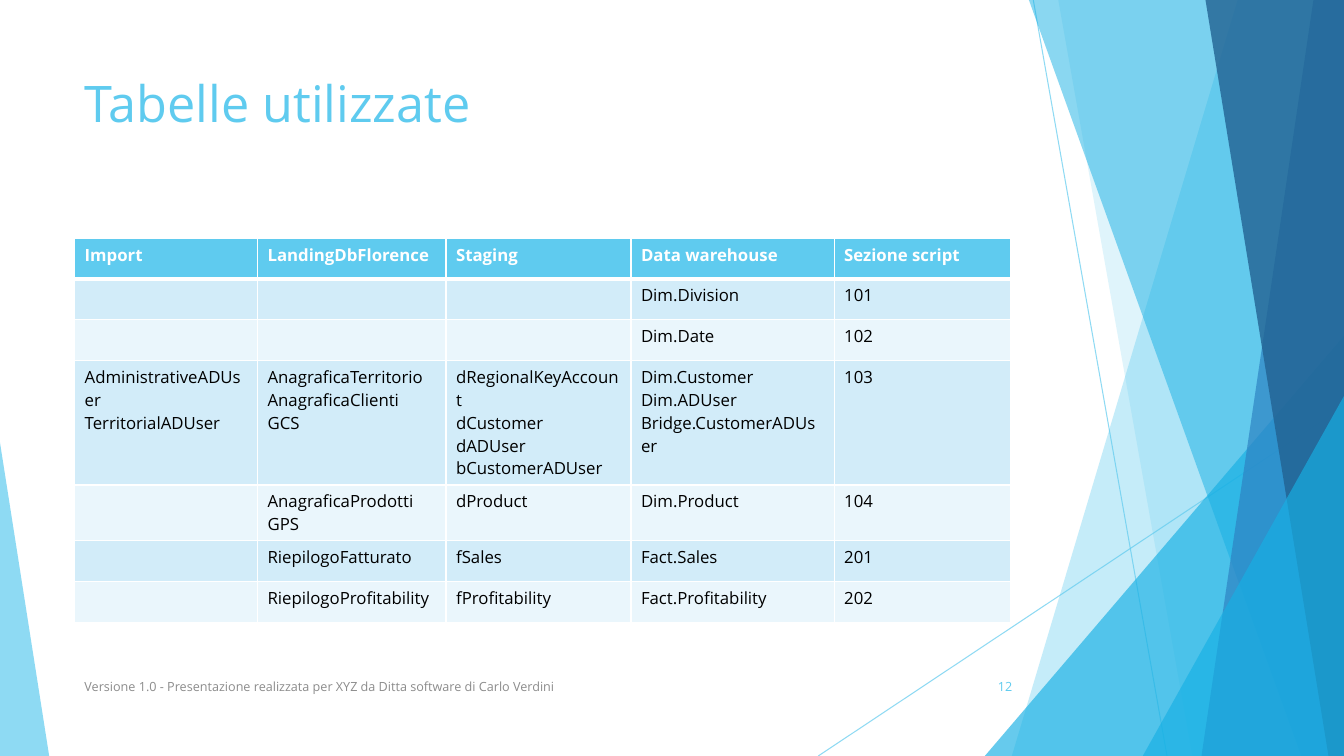
"""Build the slide that lists the tables used by each script section."""
import lxml.etree
import pptx
import pptx.dml.color
import pptx.enum.shapes
import pptx.enum.text
import pptx.oxml.ns
import pptx.util

Cm = pptx.util.Cm
RGBColor = pptx.dml.color.RGBColor
MSO_SHAPE = pptx.enum.shapes.MSO_SHAPE
PP_ALIGN = pptx.enum.text.PP_ALIGN
MSO_ANCHOR = pptx.enum.text.MSO_ANCHOR
qn = pptx.oxml.ns.qn

FONT = "Open Sans"
SKY = RGBColor(0x5F, 0xCB, 0xEF)
CYAN = RGBColor(0x17, 0xB0, 0xE4)
BLUE = RGBColor(0x2E, 0x83, 0xC3)
NAVY = RGBColor(0x22, 0x62, 0x92)
BAND_DARK = RGBColor(0xD2, 0xEC, 0xF9)
BAND_LIGHT = RGBColor(0xEA, 0xF6, 0xFC)
GREY = RGBColor(0x8C, 0x8C, 0x8C)
WHITE = RGBColor(0xFF, 0xFF, 0xFF)
BLACK = RGBColor(0, 0, 0)

COLUMN_WIDTHS = (4.61, 4.75, 4.66, 5.12, 4.46)
ROWS = (
    ("Import", "LandingDbFlorence", "Staging", "Data warehouse", "Sezione script"),
    ("", "", "", "Dim.Division", "101"),
    ("", "", "", "Dim.Date", "102"),
    ("AdministrativeADUser\nTerritorialADUser",
     "AnagraficaTerritorio\nAnagraficaClienti\nGCS",
     "dRegionalKeyAccount\ndCustomer\ndADUser\nbCustomerADUser",
     "Dim.Customer\nDim.ADUser\nBridge.CustomerADUser", "103"),
    ("", "AnagraficaProdotti\nGPS", "dProduct", "Dim.Product", "104"),
    ("", "RiepilogoFatturato", "fSales", "Fact.Sales", "201"),
    ("", "RiepilogoProfitability", "fProfitability", "Fact.Profitability", "202"),
)


def write(frame, text, size, color, bold=False, align=PP_ALIGN.LEFT, anchor=None):
    """Fill a text frame with one paragraph per line of text."""
    frame.word_wrap = True
    if anchor is not None:
        frame.vertical_anchor = anchor
    for index, line in enumerate(text.split("\n")):
        paragraph = frame.add_paragraph() if index else frame.paragraphs[0]
        paragraph.alignment = align
        if not line:
            paragraph._p.get_or_add_endParaRPr().set("sz", str(size * 100))
            continue
        run = paragraph.add_run()
        run.text = line
        run.font.name = FONT
        run.font.size = pptx.util.Pt(size)
        run.font.bold = bold
        run.font.color.rgb = color


def set_opacity(properties, percent):
    """Make the solid colour found in the properties partly transparent."""
    shade = properties.find(".//" + qn("a:srgbClr"))
    lxml.etree.SubElement(shade, qn("a:alpha")).set("val", str(percent * 1000))


def paint(facet, color, opacity):
    """Give a facet a translucent fill without line or shadow."""
    facet.shadow.inherit = False
    facet.fill.solid()
    facet.fill.fore_color.rgb = color
    set_opacity(facet._element.spPr, opacity)
    facet.line.fill.background()


def add_ray(slide, box, start, end):
    """Draw a thin line between two points of the box."""
    left, top = box[:2]
    ray = slide.shapes.add_connector(
        pptx.enum.shapes.MSO_CONNECTOR.STRAIGHT,
        Cm(left + start[0]), Cm(top + start[1]), Cm(left + end[0]), Cm(top + end[1]))
    ray.line.color.rgb = SKY
    ray.line.width = pptx.util.Pt(0.75)
    set_opacity(ray._element.spPr, 70)
    lxml.etree.SubElement(ray._element.spPr, qn("a:effectLst"))


def add_blade(slide, box, upper, lower, color, opacity):
    """Fill the box to the right of a slanted edge."""
    left, top, width, height = box
    corners = [(width, 0), (width, height), (lower, height)]
    blade = slide.shapes.build_freeform(Cm(upper), 0)
    blade.add_line_segments([(Cm(x), Cm(y)) for x, y in corners], close=True)
    paint(blade.convert_to_shape(Cm(left), Cm(top)), color, opacity)


def add_wedge(slide, box, apex, color, opacity):
    """Fill the box with a triangle whose apex is at a share of its width."""
    wedge = slide.shapes.add_shape(MSO_SHAPE.ISOSCELES_TRIANGLE, *map(Cm, box))
    wedge.adjustments[0] = apex
    paint(wedge, color, opacity)


def add_facets(slide, box):
    """Draw the overlapping facets of the right side."""
    left, top, width, height = box

    def corner_wedge(x, y):
        """Place a wedge in the lower right corner."""
        add_wedge(slide, (left + x, top + y, width - x, height - y), 1, CYAN, 66)

    add_ray(slide, box, (5.42, 0), (8.79, height))
    add_ray(slide, box, (width, 10.24), (0, height))
    add_blade(slide, box, 10.57, 4.88, SKY, 36)
    add_blade(slide, box, 6.05, 9.43, SKY, 20)
    corner_wedge(4.2, 8.46)
    add_blade(slide, box, 5.31, 12.17, CYAN, 50)
    add_blade(slide, box, 12.48, 9.66, BLUE, 70)
    add_blade(slide, box, 9.76, 12.86, NAVY, 80)
    corner_wedge(8.18, 9.98)


def add_title(slide, box, text):
    """Place the title placeholder in the box."""
    title = slide.shapes.title
    title.left, title.top, title.width, title.height = map(Cm, box)
    write(title.text_frame, text, 36, SKY, anchor=MSO_ANCHOR.TOP)


def add_borders(cell, bottom):
    """Draw white borders around a cell, the lower one in its own width."""
    properties = cell._tc.get_or_add_tcPr()
    for side, points in (("L", 1), ("R", 1), ("T", 1), ("B", bottom)):
        border = lxml.etree.SubElement(properties, qn("a:ln" + side))
        border.set("w", str(pptx.util.Pt(points)))
        fill = lxml.etree.SubElement(border, qn("a:solidFill"))
        lxml.etree.SubElement(fill, qn("a:srgbClr")).set("val", str(WHITE))


def add_tables_grid(slide, box):
    """Place the banded table of the tables used."""
    grid = slide.shapes.add_table(len(ROWS), len(COLUMN_WIDTHS), *map(Cm, box)).table
    for column, width in zip(grid.columns, COLUMN_WIDTHS):
        column.width = Cm(width)
    for r, names in enumerate(ROWS):
        header = r == 0
        band = SKY if header else BAND_DARK if r % 2 else BAND_LIGHT
        for c, name in enumerate(names):
            cell = grid.cell(r, c)
            add_borders(cell, 3 if header else 1)
            cell.fill.solid()
            cell.fill.fore_color.rgb = band
            write(cell.text_frame, name, 12, WHITE if header else BLACK, bold=header)


def add_footer(slide, box, credit, number):
    """Place the version line at the left and the page number at the right."""
    left, top, width, height = box
    number_width = 1.9
    parts = (
        (left, 17.5, credit, GREY, PP_ALIGN.LEFT),
        (left + width - number_width, number_width, number, SKY, PP_ALIGN.RIGHT),
    )
    for x, part_width, text, color, align in parts:
        part = slide.shapes.add_textbox(Cm(x), Cm(top), Cm(part_width), Cm(height))
        write(part.text_frame, text, 9, color, align=align, anchor=MSO_ANCHOR.MIDDLE)


def main():
    """Build and save the presentation."""
    deck = pptx.Presentation()
    deck.slide_width, deck.slide_height = Cm(33.87), Cm(19.05)
    slide = deck.slides.add_slide(deck.slide_layouts[5])
    add_facets(slide, (20.62, 0, 13.25, 19.05))
    add_wedge(slide, (0, 11.15, 1.24, 7.9), 0, SKY, 70)
    add_title(slide, (1.88, 1.7, 23.88, 3.66), "Tabelle utilizzate")
    add_tables_grid(slide, (1.88, 6, 23.6, 7.2))
    add_footer(slide, (1.88, 16.79, 23.88, 1.02),
               "Versione 1.0 - Presentazione realizzata per XYZ da Ditta software di Carlo Verdini",
               "12")
    deck.save("out.pptx")


if __name__ == "__main__":
    main()
